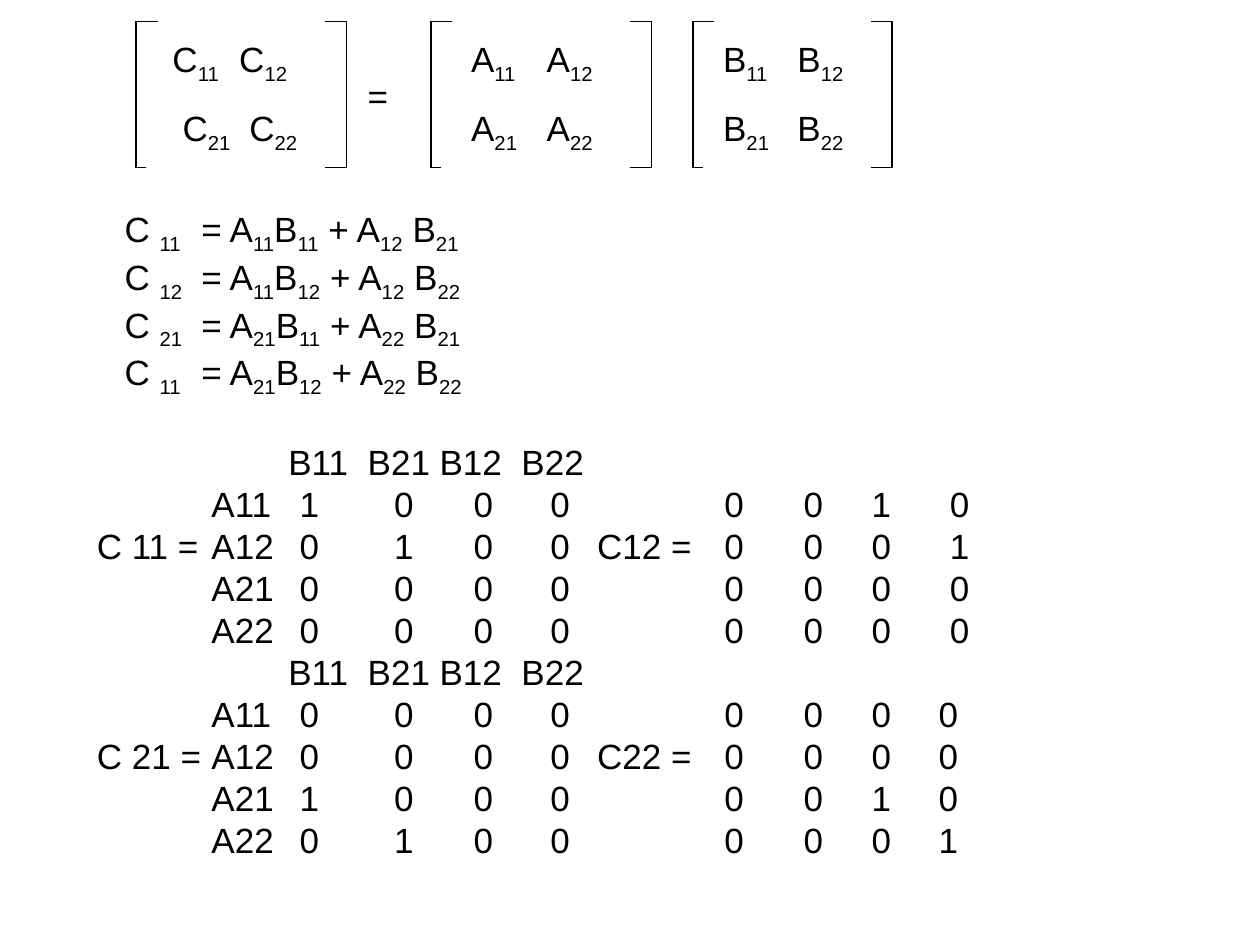
from lxml.etree import SubElement as Sub
from pptx import Presentation as Deck
from pptx.dml.color import RGBColor as Color
from pptx.enum.shapes import MSO_CONNECTOR as Link
from pptx.oxml.ns import qn
from pptx.util import Inches, Pt

BLACK = Color(0, 0, 0)
FONT = "Arial"
TOP, BASE = 0.17, 1.33
HOOK, SHORT = 0.17, 0.08
PAIRS = [(1.08, 2.75), (3.42, 5.17), (5.5, 7.08)]
RIGHT = [2.97, 3.57, 4.97, 5.56]
TERMS = [
    ("11", "11", "11", "12", "21"),
    ("12", "11", "12", "12", "22"),
    ("21", "21", "11", "22", "21"),
    ("11", "21", "12", "22", "22"),
]
LABELS = ["A11", "A12", "A21", "A22"]
HEADS = ["B11", "B21", "B12", "B22"]
HEAD_TABS = [1.52, 2.15, 2.72, 3.37]
GRID_TABS = [0.91, 1.61, 2.36, 2.99, 3.6, 3.97, 4.98, 5.61, 6.15]
GRIDS = [
    ("C 11 =", ["1000", "0100", "0000", "0000"],
     "C12 =", ["0010", "0001", "0000", "0000"], 6.77),
    ("C 21 =", ["0000", "0000", "1000", "0100"],
     "C22 =", ["0000", "0000", "0010", "0001"], 6.68),
]


def add_run(para, text, low=False):
    """Add one run, lowered when it is an index."""
    run = para.add_run()
    run.text = text
    run.font.name = FONT
    run.font.size = Pt(20)
    run.font.color.rgb = BLACK
    if low:
        run._r.get_or_add_rPr().set("baseline", "-25000")


def add_row(frame, cells, tabs, pitch, gap=0):
    """Add a tabbed line, where _ lowers the two digits after it."""
    para = frame.paragraphs[0]
    if para.runs:
        para = frame.add_paragraph()
    para.line_spacing = Pt(pitch)
    para.space_before = Pt(gap)
    stops = Sub(para._p.get_or_add_pPr(), qn("a:tabLst"))
    for pos in tabs:
        Sub(stops, qn("a:tab"), pos=str(Inches(pos)), algn="l")
    first, *rest = "\t".join(cells).split("_")
    add_run(para, first)
    for part in rest:
        add_run(para, part[:2], low=True)
        if part[2:]:
            add_run(para, part[2:])


def add_line(slide, x1, y1, x2, y2):
    """Draw a thin black line."""
    line = slide.shapes.add_connector(
        Link.STRAIGHT, Inches(x1), Inches(y1), Inches(x2), Inches(y2))
    line.line.color.rgb = BLACK
    line.line.width = Pt(0.75)
    Sub(line._element.spPr, qn("a:effectLst"))


def add_pair(slide, left, right):
    """Draw the two square brackets of a matrix."""
    for x, top, base in ((left, HOOK, SHORT), (right, -HOOK, -HOOK)):
        add_line(slide, x, TOP, x, BASE)
        add_line(slide, x, TOP, x + top, TOP)
        add_line(slide, x, BASE, x + base, BASE)


def add_product(frame):
    """Write the block matrices and the equals sign."""
    def names(row):
        return [""] + [f"{name}_{row}{col}" for name in "CAB" for col in (1, 2)]

    add_row(frame, names(1), [0.6, 1.13] + RIGHT, 27.3)
    add_row(frame, ["", "="], [2.15], 18)
    add_row(frame, names(2), [0.68, 1.21] + RIGHT, 21.5)


def add_sums(frame):
    """Write the four block equations."""
    for i, (c, a, b, d, e) in enumerate(TERMS):
        cells = ["", f"C _{c}", f"= A_{a}B_{b} + A_{d} B_{e}"]
        add_row(frame, cells, [0.22, 0.83], 27.2, 0 if i else 30.5)


def add_grid(frame, grid, gap):
    """Write two coefficient grids side by side."""
    name, left, other, right, last = grid
    add_row(frame, [""] + HEADS, HEAD_TABS, 24, gap)
    for i, label in enumerate(LABELS):
        mid = label == "A12"
        cells = [name if mid else "", label, *left[i],
                 other if mid else "", *right[i]]
        add_row(frame, cells, GRID_TABS + [last], 24)


def main():
    """Build the slide and save it."""
    deck = Deck()
    deck.slide_width, deck.slide_height = Inches(10), Inches(7.5)
    slide = deck.slides.add_slide(deck.slide_layouts[6])
    box = slide.shapes.add_textbox(
        Inches(0.67), Inches(0.25), Inches(8.58), Inches(7.01))
    frame = box.text_frame
    frame.word_wrap = True
    add_product(frame)
    add_sums(frame)
    for grid, gap in zip(GRIDS, (24, 0)):
        add_grid(frame, grid, gap)
    for left, right in PAIRS:
        add_pair(slide, left, right)
    deck.save("out.pptx")


if __name__ == "__main__":
    main()
